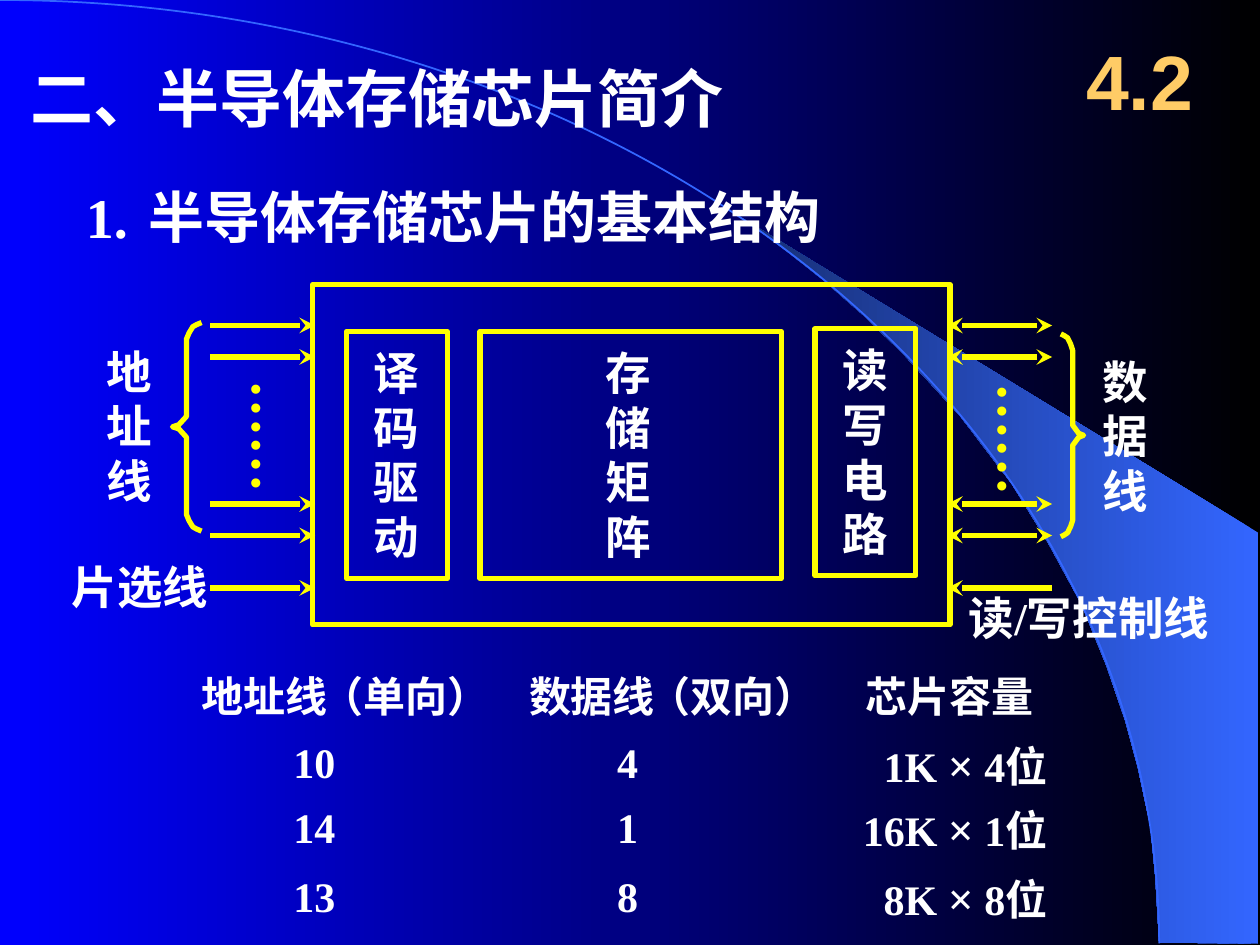
from lxml.etree import SubElement
from pptx import Presentation
from pptx.dml.color import RGBColor
from pptx.enum.shapes import MSO_CONNECTOR, MSO_SHAPE
from pptx.enum.text import MSO_ANCHOR, MSO_AUTO_SIZE, PP_ALIGN
from pptx.oxml.ns import qn
from pptx.util import Pt

BLACK = RGBColor(0x00, 0x00, 0x00)
BLUE = RGBColor(0x00, 0x00, 0xFF)
SKY = RGBColor(0x33, 0x66, 0xFF)
NAVY = RGBColor(0x17, 0x2F, 0x75)
WHITE = RGBColor(0xFF, 0xFF, 0xFF)
YELLOW = RGBColor(0xFF, 0xFF, 0x00)
GOLD = RGBColor(0xFF, 0xCC, 0x66)

# Upper half of a brace: (share of width, share of height)
BRACE_HALF = [(0, 0), (0.17, 0.01), (0.3, 0.02), (0.43, 0.05), (0.52, 0.08),
              (0.52, 0.42), (0.52, 0.45), (0.65, 0.47), (0.78, 0.49), (1, 0.5)]

WEDGE = [(662.4, 538.6), (719.3, 539.3), (719.3, 304.6), (424.1, 124.6),
         (449.3, 143.3), (470.2, 159.8), (493.2, 180), (515.5, 201.6),
         (548.6, 237.6), (578.2, 276.5), (599, 310.3), (617.8, 344.9),
         (632.2, 380.2), (643, 411.8), (650.2, 438.5), (657.4, 472.3),
         (660.2, 501.1)]


class SlidePainter:
    """Holds the common style and the slide being built; lengths are in points."""

    def __init__(self, page, font="Times New Roman", color=WHITE, line_width=3):
        self.page = page
        self.font = font
        self.color = color
        self.line_width = line_width

    def gradient(self, fill, start, end):
        """Blend from start at the right edge to end at the left edge."""
        fill.gradient()
        fill.gradient_angle = 180
        for stop, color, position in zip(fill.gradient_stops, (start, end), (0, 1)):
            stop.color.rgb = color
            stop.position = position

    def style_para(self, para, size, color=None, font=None):
        para.font.name = font or self.font
        para.font.size = Pt(size)
        para.font.bold = True
        para.font.color.rgb = color or self.color

    def place(self, shape, left, top, width, height):
        shape.left, shape.top = Pt(left), Pt(top)
        shape.width, shape.height = Pt(width), Pt(height)

    def placeholder(self, index, left, top, width, height, text, size):
        holder = self.page.placeholders[index]
        self.place(holder, left, top, width, height)
        frame = holder.text_frame
        frame.text = text
        frame.auto_size = MSO_AUTO_SIZE.NONE
        frame.vertical_anchor = MSO_ANCHOR.TOP
        para = frame.paragraphs[0]
        para.alignment = PP_ALIGN.LEFT
        para.space_before = Pt(0)
        return para

    def title(self, left, top, width, height, text, size):
        self.style_para(self.placeholder(0, left, top, width, height, text, size), size)

    def numbered_heading(self, left, top, width, height, text, size, tab):
        para = self.placeholder(1, left, top, width, height, text, size)
        properties = para._p.get_or_add_pPr()
        properties.set("marL", "0")
        properties.set("indent", "0")
        SubElement(properties, qn("a:buNone"))
        tabs = SubElement(properties, qn("a:tabLst"))
        SubElement(tabs, qn("a:tab"), pos=str(Pt(tab)), algn="l")
        self.style_para(para, size)

    def text(self, left, top, width, height, lines, size, color=None, font=None,
             align=PP_ALIGN.LEFT):
        box = self.page.shapes.add_textbox(Pt(left), Pt(top), Pt(width), Pt(height))
        frame = box.text_frame
        frame.word_wrap = True
        frame.margin_right = 0
        frame.text = "\n".join(lines)
        for para in frame.paragraphs:
            para.alignment = align
            self.style_para(para, size, color, font)
        return frame

    def capacity(self, right, top, words, bits):
        frame = self.text(right - 130, top, 130, 39, [words + " "], 24,
                          align=PP_ALIGN.RIGHT)
        para = frame.paragraphs[0]
        times = para.add_run()
        times.text = "×"
        times.font.size = Pt(26)
        para.add_run().text = f" {bits}位"

    def vertical_dots(self, left, top):
        frame = self.text(left, top, 52.6, 78, ["……"], 32, YELLOW)
        frame._txBody.bodyPr.set("vert", "eaVert")
        frame.margin_left = frame.margin_right = Pt(3.6)
        frame.margin_top, frame.margin_bottom = Pt(7.2), 0

    def frame(self, left, top, width, height):
        box = self.page.shapes.add_shape(MSO_SHAPE.RECTANGLE, Pt(left), Pt(top),
                                         Pt(width), Pt(height))
        box.fill.background()
        self.outline(box)

    def outline(self, shape, color=YELLOW, width=None):
        shape.shadow.inherit = False
        shape.line.color.rgb = color
        shape.line.width = Pt(width or self.line_width)

    def arrow(self, start, end, y, both=False):
        line = self.page.shapes.add_connector(MSO_CONNECTOR.STRAIGHT, Pt(start), Pt(y),
                                              Pt(end), Pt(y))
        line.line.color.rgb = YELLOW
        line.line.width = Pt(self.line_width)
        stroke = line.line._get_or_add_ln()
        for tag in ("a:headEnd", "a:tailEnd") if both else ("a:tailEnd",):
            SubElement(stroke, qn(tag), type="stealth")
        SubElement(line._element.spPr, qn("a:effectLst"))

    def outline_path(self, points, close=False):
        start, *rest = [(Pt(x), Pt(y)) for x, y in points]
        builder = self.page.shapes.build_freeform(*start)
        builder.add_line_segments(rest, close=close)
        return builder.convert_to_shape()

    def brace(self, open_x, tip_x, top, height):
        profile = BRACE_HALF + [(x, 1 - y) for x, y in reversed(BRACE_HALF[:-1])]
        shape = self.outline_path([(open_x + x * (tip_x - open_x), top + y * height)
                                   for x, y in profile])
        shape.fill.background()
        self.outline(shape)

    def backdrop(self):
        self.gradient(self.page.background.fill, BLACK, BLUE)
        wedge = self.outline_path(WEDGE, close=True)
        wedge.shadow.inherit = False
        wedge.line.fill.background()
        self.gradient(wedge.fill, SKY, NAVY)
        arc = self.page.shapes.add_shape(MSO_SHAPE.ARC, Pt(-662.4), Pt(0),
                                         Pt(1324.8), Pt(1078))
        arc.fill.background()
        self.outline(arc, SKY, 1)
        tree = self.page.shapes._spTree
        for position, shape in enumerate((wedge, arc), start=2):
            tree.insert(position, shape._element)


def draw_chip(painter):
    painter.frame(178.6, 162.7, 364.3, 194.4)
    for left, top, width, text_left, label in [
            (198, 189.4, 57.6, 206.6, "译码驱动"),
            (274.3, 189.4, 172.1, 339.1, "存储矩阵"),
            (465.8, 187.9, 57.6, 474.5, "读写电路")]:
        painter.frame(left, top, width, 141.1)
        painter.text(text_left, top + 4.3, 42, 132.5, label, 26)


def draw_signals(painter):
    for y in (186, 204, 288, 306):
        painter.arrow(120, 180, y)
        painter.arrow(601.2, 541.2, y, both=True)
    painter.arrow(120, 180, 336)
    painter.arrow(601.2, 541.2, 336)
    painter.brace(115.2, 98.6, 184.3, 119.2)
    painter.brace(606.2, 619.2, 190.8, 115.9)
    painter.vertical_dots(127.4, 210.2)
    painter.vertical_dots(553.7, 211.7)
    painter.text(54, 193, 40, 100.8, "地址线", 26)
    painter.text(622.8, 198.7, 40, 100.8, "数据线", 26)
    painter.text(33.8, 316.1, 92.2, 38.9, ["片选线"], 26)
    painter.text(546.5, 333.4, 170, 38.9, ["读/写控制线"], 26)


def draw_capacities(painter):
    for left, heading in [(108, "地址线"), (176.4, "（单向）"), (295.2, "数据线"),
                          (363.6, "（双向）"), (487.4, "芯片容量")]:
        painter.text(left, 379.4, 120, 36, [heading], 24)
    for top, address, data, words in [(417.6, "10", "4", "1K"),
                                      (454.3, "14", "1", "16K"),
                                      (493.9, "13", "8", "8K")]:
        painter.text(160.6, top, 40, 36, [address], 24)
        painter.text(345.6, top, 30, 36, [data], 24)
        painter.capacity(598.5, top, words, data)


def main():
    deck = Presentation()
    deck.slide_width, deck.slide_height = Pt(720), Pt(540)
    painter = SlidePainter(deck.slides.add_slide(deck.slide_layouts[1]))
    painter.backdrop()
    painter.title(10.1, 30.2, 425, 50.4, "二、半导体存储芯片简介", 36)
    painter.numbered_heading(41.8, 100.8, 460, 46.1, "1.\t半导体存储芯片的基本结构", 32, 48)
    number = painter.text(606.2, 12.2, 90, 66.2, ["4.2"], 44, GOLD, "Arial",
                          PP_ALIGN.CENTER)
    number.margin_right = Pt(7.2)
    number.vertical_anchor = MSO_ANCHOR.MIDDLE
    draw_chip(painter)
    draw_signals(painter)
    draw_capacities(painter)
    deck.save("out.pptx")


if __name__ == "__main__":
    main()
